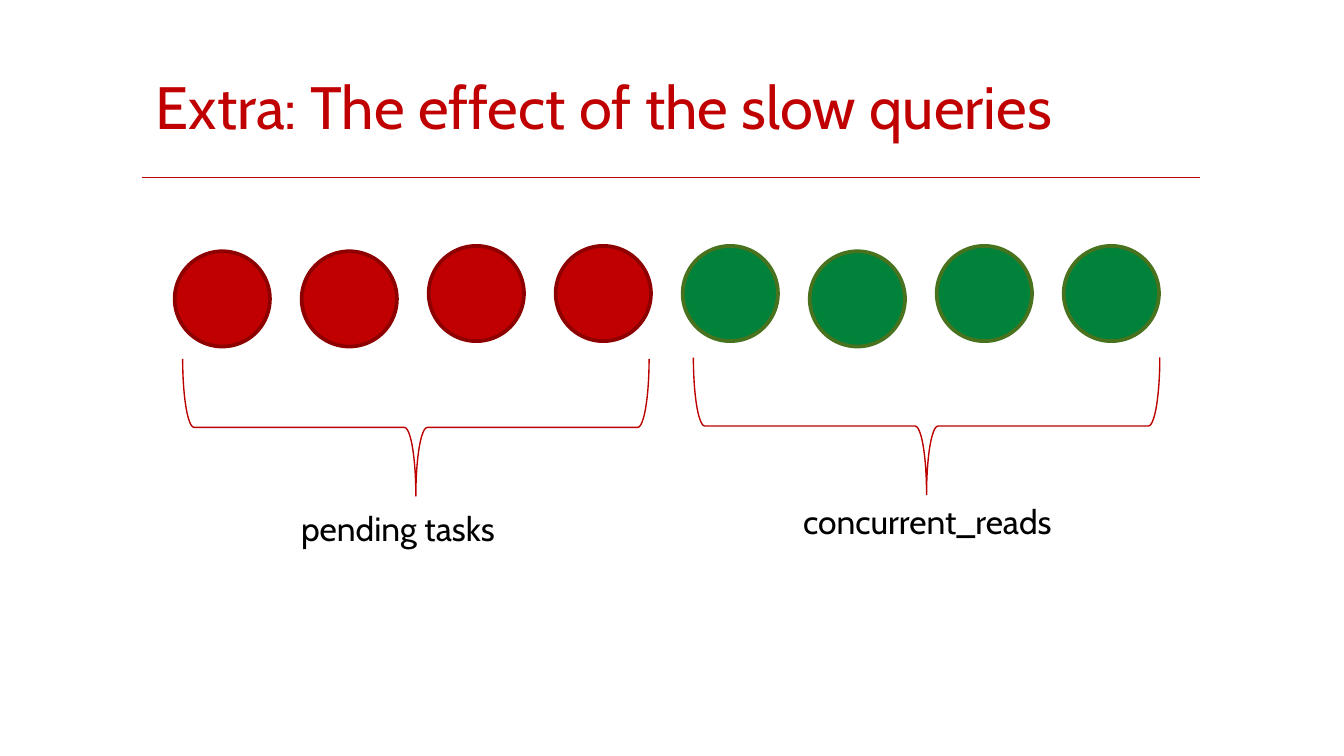
from collections import namedtuple

from lxml import etree
from pptx import Presentation
from pptx.dml.color import RGBColor
from pptx.enum.shapes import MSO_CONNECTOR, MSO_SHAPE
from pptx.enum.text import MSO_ANCHOR, PP_ALIGN
from pptx.oxml.ns import qn
from pptx.util import Inches, Pt

LEFT, CENTER = PP_ALIGN.LEFT, PP_ALIGN.CENTER
TOP, MIDDLE = MSO_ANCHOR.TOP, MSO_ANCHOR.MIDDLE
OVAL, BRACE = MSO_SHAPE.OVAL, MSO_SHAPE.LEFT_BRACE
STRAIGHT = MSO_CONNECTOR.STRAIGHT

FONT = "Cabin"
RULE_RED = "BC0000"
COLUMNS = 4
TITLE_ONLY = 5

Box = namedtuple("Box", "left top width height")
Group = namedtuple("Group", "box label label_box align fill outline lowered brace_box")


def color(value):
    return RGBColor.from_string(value)


def inches(box):
    return [Inches(length) for length in box]


def style_line(line, value, width):
    line.fill.solid()
    line.fill.fore_color.rgb = color(value)
    line.width = Pt(width)


def write_text(frame, text, size, value, align, anchor):
    frame.word_wrap = True
    frame.vertical_anchor = anchor
    para = frame.paragraphs[0]
    para.alignment = align
    span = para.add_run()
    span.text = text
    span.font.name = FONT
    span.font.size = Pt(size)
    span.font.color.rgb = color(value)


def add_header(page, box, text):
    title = page.shapes.title
    title.left, title.top, title.width, title.height = inches(box)
    write_text(title.text_frame, text, 32, "C00000", LEFT, MIDDLE)
    bottom = box.top + box.height + 0.02
    ends = inches((box.left, bottom, box.left + box.width, bottom))
    rule = page.shapes.add_connector(STRAIGHT, *ends)
    style_line(rule.line, RULE_RED, 0.75)
    etree.SubElement(rule._element.spPr, qn("a:effectLst"))
    rule._element.remove(rule._element.find(qn("p:style")))


def add_circles(page, group):
    box = group.box
    pitch = box.width / COLUMNS
    diameter = 0.75 * pitch
    for column in range(COLUMNS):
        drop = 0.04 if column in group.lowered else 0
        place = Box(box.left + column * pitch, box.top + drop, diameter, diameter)
        circle = page.shapes.add_shape(OVAL, *inches(place))
        circle.shadow.inherit = False
        circle.fill.solid()
        circle.fill.fore_color.rgb = color(group.fill)
        style_line(circle.line, group.outline, 2)


def add_brace(page, box):
    left = box.left + (box.width - box.height) / 2
    top = box.top + (box.height - box.width) / 2
    brace = page.shapes.add_shape(BRACE, *inches((left, top, box.height, box.width)))
    brace.rotation = 270
    brace.shadow.inherit = False
    brace.fill.background()
    style_line(brace.line, RULE_RED, 0.75)


def add_label(page, box, text, align):
    frame = page.shapes.add_textbox(*inches(box)).text_frame
    frame.margin_left = 0
    write_text(frame, text, 18, "000000", align, TOP)


def add_group(page, group):
    add_circles(page, group)
    add_brace(page, group.brace_box)
    add_label(page, group.label_box, group.label, group.align)


def main():
    deck = Presentation()
    deck.slide_width = Inches(10)
    deck.slide_height = deck.slide_width * 9 // 16
    page = deck.slides.add_slide(deck.slide_layouts[TITLE_ONLY])
    add_header(page, Box(1.06, 0.27, 7.87, 1.03), "Extra: The effect of the slow queries")
    groups = [
        Group(Box(1.3, 1.83, 3.78, 0.75), "pending tasks", Box(2.24, 3.73, 1.73, 0.69),
              LEFT, "C00000", "8E0000", (0, 1), Box(1.36, 2.67, 3.47, 1.02)),
        Group(Box(5.08, 1.83, 3.78, 0.75), "concurrent_reads", Box(5.1, 3.68, 3.7, 0.79),
              CENTER, "00823B", "49721E", (1,), Box(5.16, 2.66, 3.47, 1.02)),
    ]
    for group in groups:
        add_group(page, group)
    deck.save("out.pptx")


if __name__ == "__main__":
    main()
